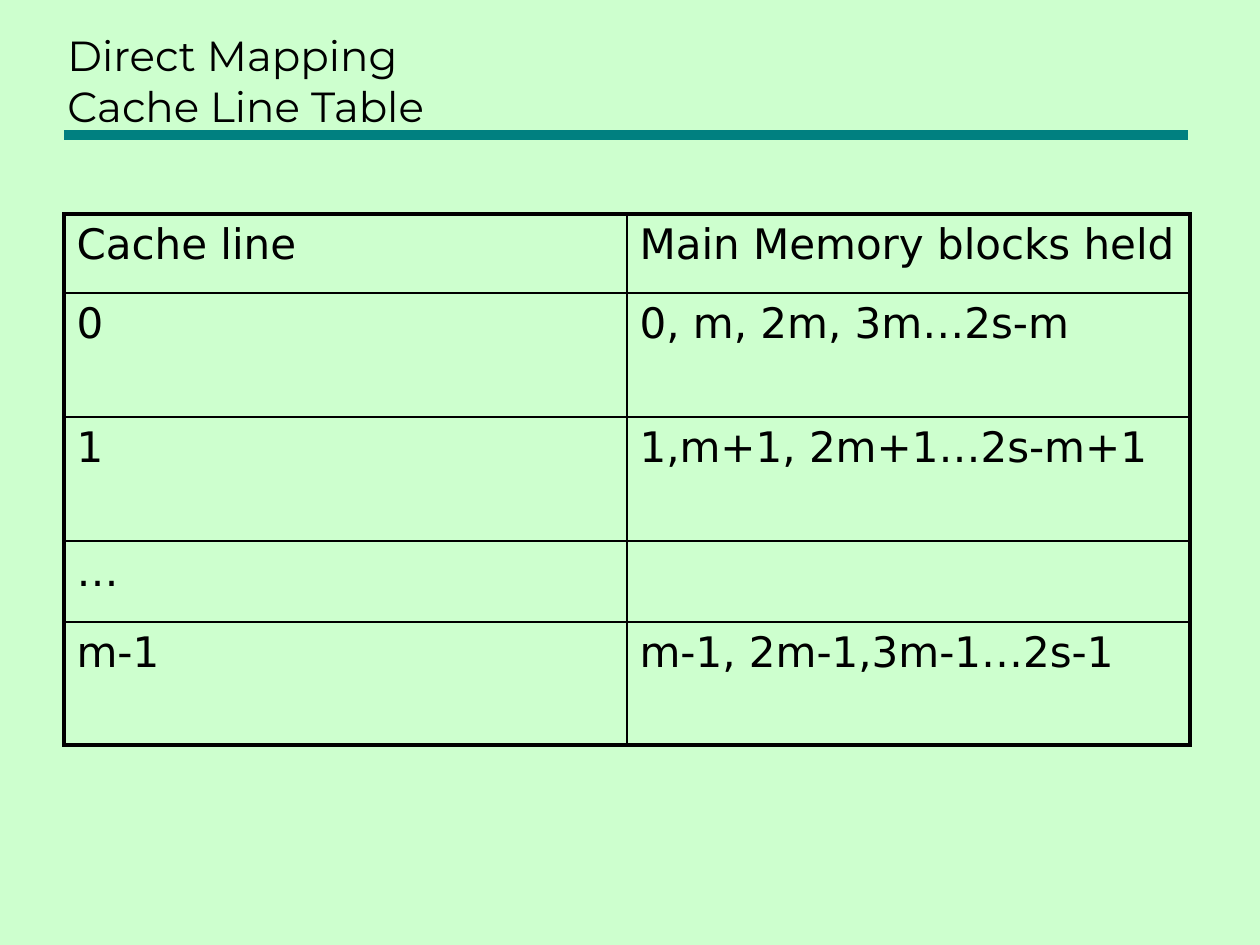
"""Build the direct mapping cache line table slide."""
from dataclasses import dataclass

from lxml import etree
from pptx import Presentation, util as u
from pptx.dml.color import RGBColor
from pptx.enum import shapes, text
from pptx.oxml import ns

PIXEL = u.Inches(1) // 126
COLORS = {"background": "CDFFCE", "rule": "008080", "ink": "000000"}
THIN, THICK = 1, 2.25
COLUMN_WIDTH = 563


@dataclass
class Row:
    """A table row with its height and wording."""
    height: int
    line: str
    blocks: str


ROWS = [
    Row(79, "Cache line", "Main Memory blocks held"),
    Row(124, "0", "0, m, 2m, 3m…2s-m"),
    Row(124, "1", "1,m+1, 2m+1…2s-m+1"),
    Row(81, "…", ""),
    Row(123, "m-1", "m-1, 2m-1,3m-1…2s-1"),
]


def px(*lengths: int) -> list[u.Emu]:
    """Turn pixels into EMU."""
    return [u.Emu(length * PIXEL) for length in lengths]


def color(name: str) -> RGBColor:
    """Look up a named colour."""
    return RGBColor.from_string(COLORS[name])


def format_font(font, name: str) -> None:
    """Apply the common text format with the given typeface."""
    for attribute, value in {"name": name, "size": u.Pt(24), "bold": False}.items():
        setattr(font, attribute, value)
    font.color.rgb = color("ink")


def add_title(slide, wording: str) -> None:
    """Add the title, anchored to the bottom of its box."""
    frame = slide.shapes.add_textbox(*px(55, 21, 1130, 116)).text_frame
    for attribute, value in {"word_wrap": True, "vertical_anchor": text.MSO_ANCHOR.BOTTOM}.items():
        setattr(frame, attribute, value)
    paragraph = frame.paragraphs[0]
    paragraph.text = wording
    for run in paragraph.runs:
        format_font(run.font, "Montserrat")


def add_rule(slide) -> None:
    """Add the thick line under the title."""
    rule = slide.shapes.add_connector(shapes.MSO_CONNECTOR.STRAIGHT, *px(64, 135, 1188, 135))
    rule.line.color.rgb = color("rule")
    rule.line.width = u.Pt(6)
    etree.SubElement(rule._element.spPr, ns.qn("a:effectLst"))


def set_borders(cell, widths: dict[str, float]) -> None:
    """Draw the four cell borders, given in left, right, top, bottom order."""
    properties = cell._tc.get_or_add_tcPr()
    for index, (side, width) in enumerate(widths.items()):
        border = etree.Element(ns.qn(f"a:ln{side}"), w=str(u.Pt(width)))
        fill = etree.SubElement(border, ns.qn("a:solidFill"))
        etree.SubElement(fill, ns.qn("a:srgbClr"), val=COLORS["ink"])
        properties.insert(index, border)


def fill_cell(cell, wording: str) -> None:
    """Write the wording into a cell without a fill."""
    cell.fill.background()
    paragraph = cell.text_frame.paragraphs[0]
    spacing = etree.SubElement(paragraph._p.get_or_add_pPr(), ns.qn("a:spcBef"))
    etree.SubElement(spacing, ns.qn("a:spcPct"), val="20000")
    if wording:
        run = paragraph.add_run()
        run.text = wording
        format_font(run.font, "DejaVu Sans")


def add_cache_table(slide) -> None:
    """Add the cache line table with a thick outline."""
    height = sum(row.height for row in ROWS)
    frame = slide.shapes.add_table(len(ROWS), 2, *px(64, 214, 2 * COLUMN_WIDTH, height))
    table = frame.table
    for attribute in ("first_row", "horz_banding"):
        setattr(table, attribute, False)
    for column in table.columns:
        column.width = px(COLUMN_WIDTH)[0]
    last = len(ROWS) - 1
    for r, row in enumerate(ROWS):
        table.rows[r].height = px(row.height)[0]
        for c, wording in enumerate((row.line, row.blocks)):
            cell = table.cell(r, c)
            fill_cell(cell, wording)
            outer = {"L": c == 0, "R": c == 1, "T": r == 0, "B": r == last}
            set_borders(cell, {side: THICK if edge else THIN for side, edge in outer.items()})


def main() -> None:
    """Build and save the slide."""
    presentation = Presentation()
    presentation.slide_width, presentation.slide_height = px(1260, 945)
    slide = presentation.slides.add_slide(presentation.slide_layouts[6])
    slide.background.fill.solid()
    slide.background.fill.fore_color.rgb = color("background")
    add_rule(slide)
    add_title(slide, "Direct Mapping \vCache Line Table")
    add_cache_table(slide)
    presentation.save("out.pptx")


main()
